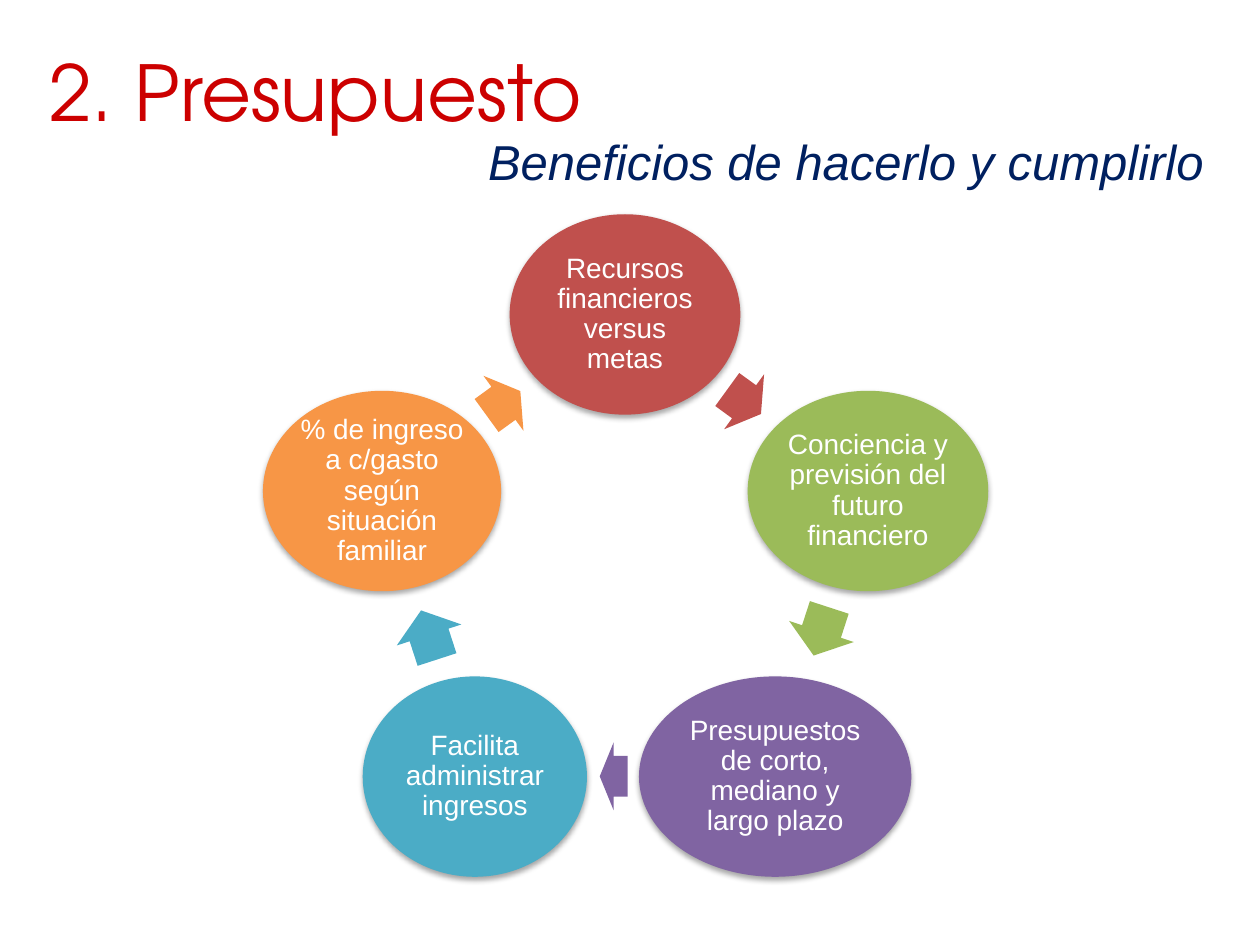
"""Build the slide on the benefits of a budget, a cycle of five steps."""
from math import cos, radians, sin

from lxml import etree
from pptx import Presentation
from pptx.dml.color import RGBColor
from pptx.enum.shapes import MSO_SHAPE
from pptx.enum.text import MSO_ANCHOR, MSO_AUTO_SIZE, PP_ALIGN
from pptx.util import Cm, Pt

OVAL, ARROW = MSO_SHAPE.OVAL, MSO_SHAPE.RIGHT_ARROW
LEFT, CENTER, RIGHT = PP_ALIGN.LEFT, PP_ALIGN.CENTER, PP_ALIGN.RIGHT
MIDDLE, NO_FIT = MSO_ANCHOR.MIDDLE, MSO_AUTO_SIZE.NONE
SHADOW = (
    '<a:outerShdw xmlns:a="http://schemas.openxmlformats.org/drawingml/2006/main" '
    'blurRad="40000" dist="23000" dir="5400000" rotWithShape="0">'
    '<a:srgbClr val="000000"><a:alpha val="35000"/></a:srgbClr></a:outerShdw>'
)


def color(code):
    return RGBColor.from_string(code)


def write(box, text, size, ink, align, font="Arial", italic=False, spacing=1.0, inset=None):
    frame = box.text_frame
    frame.word_wrap = True
    frame.auto_size = NO_FIT
    frame.vertical_anchor = MIDDLE
    if inset is not None:
        frame.margin_left = frame.margin_right = inset
        frame.margin_top = frame.margin_bottom = inset
    para = frame.paragraphs[0]
    para.alignment = align
    para.line_spacing = spacing
    span = para.add_run()
    span.text = text
    span.font.name = font
    span.font.size = Pt(size)
    span.font.italic = italic
    span.font.color.rgb = color(ink)


deck = Presentation()
deck.slide_width, deck.slide_height = Cm(25.4), Cm(19.05)
page = deck.slides.add_slide(deck.slide_layouts[5])

STEPS = [
    ("Recursos financieros versus metas", "C0504D", 4.65, (15, 8.1), 0.84),
    ("Conciencia y previsión del futuro financiero", "9BBB59", 4.85, (16.56, 12.73), 1.02),
    ("Presupuestos de corto, mediano y largo plazo", "8064A2", 5.49, (12.37, 15.65), 0.56),
    ("Facilita administrar ingresos", "4BACC6", 4.52, (8.65, 12.8), 1.04),
    ("% de ingreso a c/gasto según situación familiar", "F79646", 4.8, (10.15, 8.13), 0.84),
]
CENTER_X, CENTER_Y, RADIUS = 12.6, 11.49, 5.15
OVAL_HEIGHT, ARROW_HEIGHT = 4.04, 1.37
TURN = 360 / len(STEPS)

for index, (text, fill, width, (arrow_x, arrow_y), length) in enumerate(STEPS):
    angle = radians(index * TURN)
    x = CENTER_X + RADIUS * sin(angle)
    y = CENTER_Y - RADIUS * cos(angle)
    oval = page.shapes.add_shape(
        OVAL, Cm(x - width / 2), Cm(y - OVAL_HEIGHT / 2), Cm(width), Cm(OVAL_HEIGHT))
    arrow = page.shapes.add_shape(
        ARROW, Cm(arrow_x - length / 2), Cm(arrow_y - ARROW_HEIGHT / 2),
        Cm(length), Cm(ARROW_HEIGHT))
    arrow.rotation = (index + 0.5) * TURN
    arrow.adjustments[0], arrow.adjustments[1] = 0.6, 0.5
    for shape in (oval, arrow):
        shape.shadow.inherit = False
        shape.fill.solid()
        shape.fill.fore_color.rgb = color(fill)
        shape.line.fill.background()
    oval.element.spPr.find("{*}effectLst").append(etree.fromstring(SHADOW))
    write(oval, text, 16, "FFFFFF", CENTER, spacing=0.9, inset=Cm(0.05))

subtitle = page.shapes.add_textbox(Cm(1.65), Cm(2.13), Cm(22.86), Cm(2.21))
write(subtitle, "Beneficios de hacerlo y cumplirlo", 28, "002060", RIGHT, italic=True)

title = page.shapes.title
title.left, title.top, title.width, title.height = Cm(0.74), Cm(0.74), Cm(22.86), Cm(2.16)
write(title, "2. Presupuesto", 44, "CC0000", LEFT, font="TeX Gyre Adventor")

deck.save("out.pptx")
